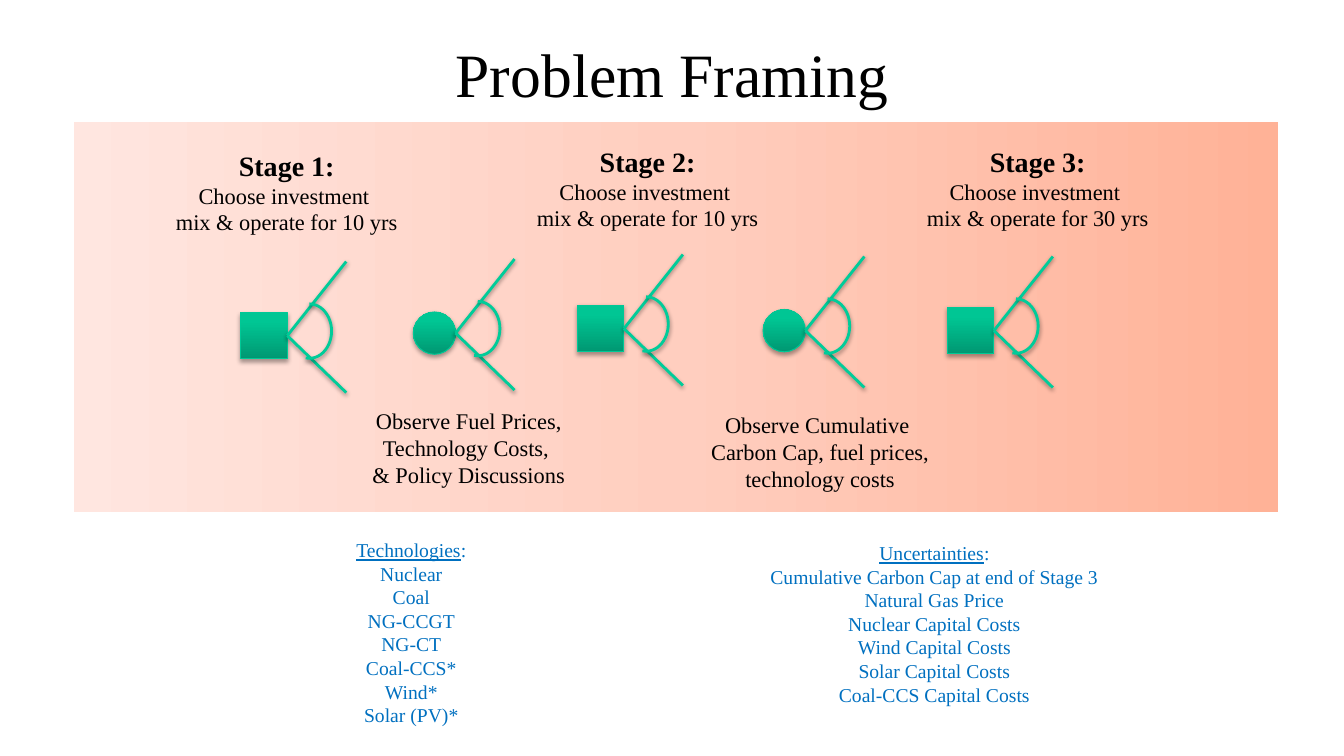
import copy
import pptx
import pptx.dml.color
import pptx.enum.shapes
import pptx.enum.text
import pptx.oxml
import pptx.oxml.ns
import pptx.util

# The slide is a grid of square cells, 133.3 columns by 75 rows
CELL = pptx.util.Inches(0.1)
COLUMNS, ROWS = 133.33, 75
FONT = "Times New Roman"
BLACK, BLUE, GREEN, EDGE = "000000", "0070C0", "00CC99", "00C896"
PANEL_STOPS = [(0, "FFB297"), (0.5, "FFCEBF"), (1, "FFE6E0")]
NODE_STOPS = [(0, "009872"), (0.8, "00C694"), (1, "00C795")]

SQUARE = pptx.enum.shapes.MSO_SHAPE.RECTANGLE
CIRCLE = pptx.enum.shapes.MSO_SHAPE.OVAL
ARC = pptx.enum.shapes.MSO_SHAPE.ARC

# Kind, left column and middle row of each node
NODES = [
    (SQUARE, 23.9, 33.3),
    (CIRCLE, 41, 33.05),
    (SQUARE, 57.3, 32.6),
    (CIRCLE, 75.7, 32.8),
    (SQUARE, 94, 32.8),
]
NODE_SIZE = {SQUARE: 4.6, CIRCLE: 4.2}

# Left column, top row and years of each stage
STAGES = [(16.3, 14.2, 10), (52.1, 13.8, 10), (90.8, 13.8, 30)]

# Box and lines of each observation
OBSERVATIONS = [
    ((35.8, 39.9, 21.4, 9.1),
     ["Observe Fuel Prices,", "Technology Costs, ", "& Policy Discussions"]),
    ((69.4, 40.3, 23.9, 9.1),
     ["Observe Cumulative ", "Carbon Cap, fuel prices,", "technology costs"]),
]

# Box, heading and entries of each list
LISTS = [
    ((22.9, 52.9, 35.8, 19.9), "Technologies",
     ["Nuclear", "Coal", "NG-CCGT", "NG-CT", "Coal-CCS*", "Wind*",
      "Solar (PV)*"]),
    ((59.6, 53.2, 66.2, 17.5), "Uncertainties",
     ["Cumulative Carbon Cap at end of Stage 3", "Natural Gas Price",
      "Nuclear Capital Costs", "Wind Capital Costs", "Solar Capital Costs",
      "Coal-CCS Capital Costs"]),
]


def grid(*cells):
    return [round(cell * CELL) for cell in cells]


def color(hex_text):
    return pptx.dml.color.RGBColor.from_string(hex_text)


def set_gradient(shape, stops, angle):
    shape.fill.gradient()
    shape.fill.gradient_angle = angle
    stop_list = shape._element.spPr.find(".//" + pptx.oxml.ns.qn("a:gsLst"))
    while len(stop_list) < len(stops):
        stop_list.append(copy.deepcopy(stop_list[0]))
    for stop, (position, hex_text) in zip(shape.fill.gradient_stops, stops):
        stop.position = position
        stop.color.rgb = color(hex_text)


def set_line(part, hex_text, width):
    part.line.color.rgb = color(hex_text)
    part.line.width = pptx.util.Pt(width)


def add_shadow(part, alpha, distance):
    """Drop a soft black shadow straight down; call after fill and line."""
    part._element.spPr.append(pptx.oxml.parse_xml(
        f'<a:effectLst {pptx.oxml.ns.nsdecls("a")}>'
        f'<a:outerShdw blurRad="40000" dist="{pptx.util.Pt(distance)}" '
        'dir="5400000" rotWithShape="0"><a:srgbClr val="000000">'
        f'<a:alpha val="{alpha * 1000}"/></a:srgbClr>'
        '</a:outerShdw></a:effectLst>'))


def add_text(slide, box, lines, size, hex_text=BLACK, wrap=False):
    """Add centred lines and return the text frame."""
    frame = slide.shapes.add_textbox(*grid(*box)).text_frame
    frame.text = "\n".join(lines)
    frame.word_wrap = wrap
    frame.auto_size = pptx.enum.text.MSO_AUTO_SIZE.SHAPE_TO_FIT_TEXT
    for paragraph in frame.paragraphs:
        paragraph.alignment = pptx.enum.text.PP_ALIGN.CENTER
        for run in paragraph.runs:
            style_run(run, size, hex_text)
    return frame


def style_run(run, size, hex_text):
    run.font.name = FONT
    run.font.size = pptx.util.Pt(size)
    run.font.color.rgb = color(hex_text)


def add_panel(slide):
    panel = slide.shapes.add_shape(SQUARE, *grid(7.3, 12.1, 119.5, 38.7))
    set_gradient(panel, PANEL_STOPS, 180)
    panel.line.fill.background()
    panel.shadow.inherit = False


def add_title(slide):
    frame = add_text(slide, (9.2, 0.4, 115, 14.5), ["Problem Framing"], 44,
                     wrap=True)
    frame.auto_size = pptx.enum.text.MSO_AUTO_SIZE.NONE
    frame.vertical_anchor = pptx.enum.text.MSO_ANCHOR.MIDDLE
    frame.paragraphs[0].line_spacing = 0.9


def add_node(slide, kind, left, middle):
    """Add a decision square or chance circle with its fan of outcomes."""
    size = NODE_SIZE[kind]
    tip = left + size
    node = slide.shapes.add_shape(
        kind, *grid(left, middle - size / 2, size, size))
    set_gradient(node, NODE_STOPS, 90)
    set_line(node, EDGE, 0.75)
    add_shadow(node, 35, 1.8)

    fan = []
    for rise in (-7.35, 5.65):
        branch = slide.shapes.add_connector(
            pptx.enum.shapes.MSO_CONNECTOR.STRAIGHT,
            *grid(tip, middle, tip + 5.85, middle + rise))
        if kind == SQUARE:
            branch.begin_connect(node, 3)
        fan.append(branch)

    arc = slide.shapes.add_shape(ARC, *grid(tip, middle - 3.15, 4.4, 5.4))
    arc.adjustments[0] = 162
    arc.adjustments[1] = 58.63
    arc.fill.background()
    for part in fan + [arc]:
        set_line(part, GREEN, 2)
        add_shadow(part, 38, 1.6)


def add_stage(slide, number, left, top, years):
    frame = add_text(slide, (left, top, 24.3, 9.8),
                     [f"Stage {number}:", "Choose investment ",
                      f"mix & operate for {years} yrs"], 16)
    heading = frame.paragraphs[0].runs[0]
    heading.font.size = pptx.util.Pt(20)
    heading.font.bold = True


def add_list(slide, box, heading, entries):
    frame = add_text(slide, box, [heading] + entries, 14, BLUE, wrap=True)
    first = frame.paragraphs[0]
    first.runs[0].font.underline = True
    colon = first.add_run()
    colon.text = ":"
    style_run(colon, 14, BLUE)


def main():
    deck = pptx.Presentation()
    deck.slide_width, deck.slide_height = grid(COLUMNS, ROWS)
    slide = deck.slides.add_slide(deck.slide_layouts[6])

    # Backdrop and title
    add_panel(slide)
    add_title(slide)

    # Decision tree
    for node in NODES:
        add_node(slide, *node)

    # Captions above and below the tree
    for number, stage in enumerate(STAGES, 1):
        add_stage(slide, number, *stage)
    for box, lines in OBSERVATIONS:
        add_text(slide, box, lines, 16)

    # Lists under the panel
    for box, heading, entries in LISTS:
        add_list(slide, box, heading, entries)

    deck.save("out.pptx")


if __name__ == "__main__":
    main()
